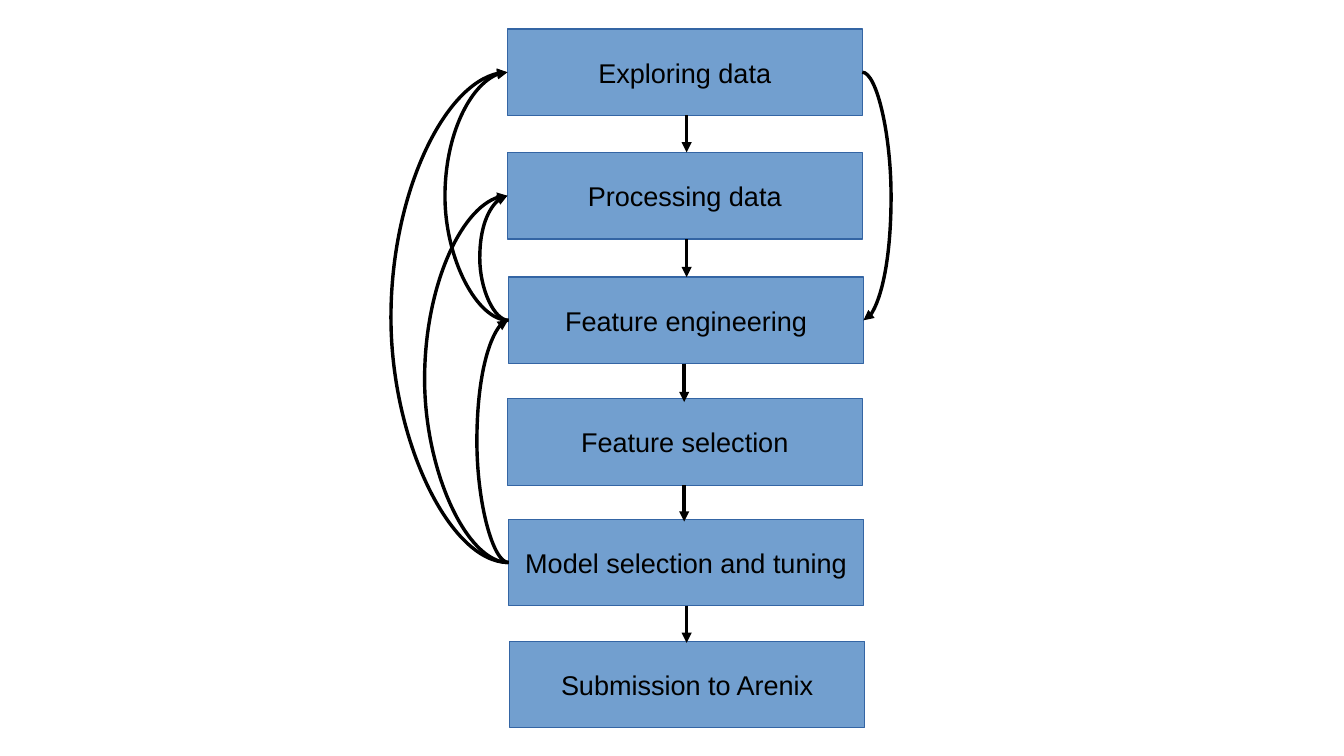
from pptx import Presentation
from pptx.dml.color import RGBColor
from pptx.enum.shapes import MSO_CONNECTOR as LINK, MSO_SHAPE
from pptx.enum.text import MSO_ANCHOR, PP_ALIGN
from pptx.oxml.ns import qn
from pptx.util import Pt
from lxml.etree import SubElement

COLORS = {"box": "729FCF", "edge": "3465A4", "ink": "000000"}
FONT = {"name": "Arial", "size": Pt(16)}
FRAME = {"word_wrap": False, "vertical_anchor": MSO_ANCHOR.MIDDLE,
         "margin_left": Pt(7.2), "margin_right": Pt(7.2),
         "margin_top": Pt(3.6), "margin_bottom": Pt(3.6)}
BOX_WIDTH, BOX_HEIGHT = 209.52, 51.1

# label, left, top
STEPS = [
    ("Exploring data", 299.52, 17.1),
    ("Processing data", 299.52, 90),
    ("Feature engineering", 300.24, 163.6),
    ("Feature selection", 299.52, 235.4),
    ("Model selection and tuning", 300.24, 306.6),
    ("Submission to Arenix", 300.96, 378.6),
]
# x and overlap into the next box, for the arrow below each step
DOWN_ARROWS = [(405.36, 0), (405.36, 0), (403.92, 2), (403.92, 1.4), (405.36, 1)]
# source step, target step, side, bulge
LOOPS = [
    (4, 2, "left", 18),
    (2, 1, "left", 17.28),
    (4, 1, "left", 50.4),
    (4, 0, "left", 70.56),
    (0, 2, "right", 17.28),
    (2, 0, "left", 38.16),
]


def color(name):
    return RGBColor.from_string(COLORS[name])


def add_step(page, label, left, top):
    box = page.shapes.add_shape(MSO_SHAPE.RECTANGLE, Pt(left), Pt(top),
                                Pt(BOX_WIDTH), Pt(BOX_HEIGHT))
    box.shadow.inherit = False
    box.fill.solid()
    box.fill.fore_color.rgb = color("box")
    box.line.color.rgb = color("edge")
    box.line.width = Pt(0)
    for key, value in FRAME.items():
        setattr(box.text_frame, key, value)
    para = box.text_frame.paragraphs[0]
    para.alignment = PP_ALIGN.CENTER
    span = para.add_run()
    span.text = label
    for key, value in FONT.items():
        setattr(span.font, key, value)
    span.font.color.rgb = color("ink")


def add_arrow(page, kind, x1, y1, x2, y2):
    arrow = page.shapes.add_connector(kind, Pt(x1), Pt(y1), Pt(x2), Pt(y2))
    arrow.line.color.rgb = color("ink")
    arrow.line.width = Pt(0)
    SubElement(arrow.line._get_or_add_ln(), qn("a:tailEnd"), type="triangle")
    SubElement(arrow._element.spPr, qn("a:effectLst"))
    return arrow


def add_loop(page, source, target, side, bulge):
    """Curve between the same side of two steps, bulging outwards."""
    edge = BOX_WIDTH if side == "right" else 0
    (_, x1, y1), (_, x2, y2) = STEPS[source], STEPS[target]
    left, top = min(x1, x2) + edge, min(y1, y2) + BOX_HEIGHT / 2
    run = max(abs(x2 - x1), 0.3)
    if x1 == x2:
        left -= run
    loop = add_arrow(page, LINK.CURVE, left, top, left + run, top + abs(y2 - y1))
    shape_props = loop._element.spPr
    if side == "left":
        shape_props.find(qn("a:xfrm")).set("rot", "10800000")
    guides = shape_props.find(qn("a:prstGeom")).find(qn("a:avLst"))
    SubElement(guides, qn("a:gd"), name="adj1",
               fmla=f"val {round(bulge / run * 100000)}")


def main():
    deck = Presentation()
    deck.slide_width, deck.slide_height = Pt(793.44), Pt(446.4)
    page = deck.slides.add_slide(deck.slide_layouts[6])
    for step in STEPS:
        add_step(page, *step)
    for (_, _, top), (_, _, next_top), (x, overlap) in zip(STEPS, STEPS[1:], DOWN_ARROWS):
        add_arrow(page, LINK.STRAIGHT, x, top + BOX_HEIGHT, x, next_top + overlap)
    for loop in LOOPS:
        add_loop(page, *loop)
    deck.save("out.pptx")


if __name__ == "__main__":
    main()
